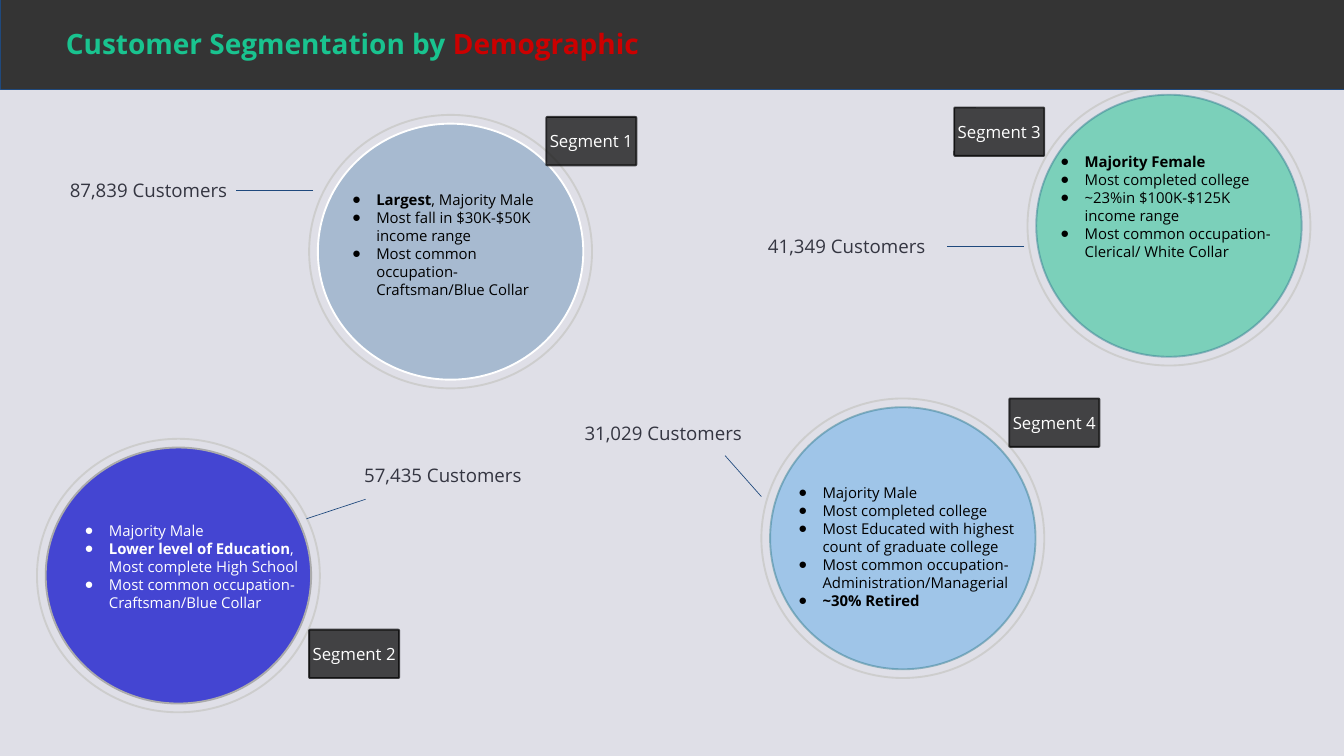
from dataclasses import dataclass

from lxml import etree
from pptx import Presentation
from pptx.dml.color import RGBColor
from pptx.enum.shapes import MSO_CONNECTOR, MSO_SHAPE
from pptx.enum.text import MSO_ANCHOR, MSO_AUTO_SIZE, PP_ALIGN
from pptx.oxml.ns import qn
from pptx.util import Inches, Pt

OVAL, ROUNDED, RECTANGLE = MSO_SHAPE.OVAL, MSO_SHAPE.ROUNDED_RECTANGLE, MSO_SHAPE.RECTANGLE
STRAIGHT = MSO_CONNECTOR.STRAIGHT
TOP, MIDDLE = MSO_ANCHOR.TOP, MSO_ANCHOR.MIDDLE
LEFT, CENTER = PP_ALIGN.LEFT, PP_ALIGN.CENTER
FIT_SHAPE = MSO_AUTO_SIZE.SHAPE_TO_FIT_TEXT


@dataclass(frozen=True)
class Theme:
    font: str = "Open Sans"
    background: str = "DFDFE7"
    header: str = "343434"
    accent: str = "19C38F"
    alert: str = "CC0000"
    ring: str = "CDCDCD"
    rule: str = "1F497D"
    count: str = "343541"
    dark: str = "000000"
    light: str = "FFFFFF"
    title_size: int = 30
    count_size: int = 20
    tag_size: int = 18
    list_size: int = 16
    thick: float = 2
    thin: float = 0.75


THEME = Theme()

# The slide is a grid of 20 columns by 11.25 rows; every place is (column, row).
COLUMNS, ROWS = 20, 11.25
CELL = Inches(1)
RING_WIDTH, RING_GAP = 4.21, 0.13
TAG_SIZE = (1.34, 0.72)
COUNT_SIZE = (3.28, 0.54)

TITLE = [("Customer Segmentation by ", THEME.accent), ("Demographic", THEME.alert)]

# Colours are (RRGGBB, opacity in percent); a list item is its (text, bold) spans.
SEGMENTS = [
    dict(tag="Segment 1", tag_at=(8.13, 1.74), count="87,839 Customers", count_at=(0.94, 2.56),
         ring_at=(4.6, 1.71), ring_height=4.07, fill=("004E8E", 25), edge=("FFFFFF", 100),
         pointer=[(4.66, 2.83), (3.51, 2.83)], list_at=(5, 2.74, 3.25, 1.82), ink=THEME.dark,
         items=[[("Largest", True), (", Majority Male", False)],
                [("Most fall in $30K-$50K income range", False)],
                [("Most common occupation- Craftsman/Blue Collar", False)]]),
    dict(tag="Segment 2", tag_at=(4.6, 9.37), count="57,435 Customers", count_at=(5.32, 6.81),
         ring_at=(0.55, 6.53), ring_height=4.07, fill=("4445D2", 100), edge=("ABABAB", 100),
         pointer=[(5.44, 7.43), (4.56, 7.72)], list_at=(1.02, 7.66, 3.71, 1.55), ink=THEME.light,
         items=[[("Majority Male", False)],
                [("Lower level of Education", True), (", Most complete High School", False)],
                [("Most common occupation- Craftsman/Blue Collar", False)]]),
    dict(tag="Segment 3", tag_at=(14.2, 1.6), count="41,349 Customers", count_at=(11.33, 3.39),
         ring_at=(15.29, 1.28), ring_height=4.16, fill=("19C38F", 50), edge=("378092", 50),
         pointer=[(15.24, 3.66), (14.09, 3.66)], list_at=(15.54, 2.17, 3.61, 1.82), ink=THEME.dark,
         items=[[("Majority Female", True)],
                [("Most completed college", False)],
                [("~23%in $100K-$125K income range", False)],
                [("Most common occupation- Clerical/ White Collar", False)]]),
    dict(tag="Segment 4", tag_at=(15.02, 5.93), count="31,029 Customers", count_at=(8.6, 6.17),
         ring_at=(11.33, 5.93), ring_height=4.16, fill=("9FC5E8", 100), edge=("378092", 50),
         pointer=[(11.33, 7.39), (10.79, 6.78)], list_at=(11.64, 7.1, 3.61, 2.09), ink=THEME.dark,
         items=[[("Majority Male", False)],
                [("Most completed college", False)],
                [("Most Educated with highest count of graduate college", False)],
                [("Most common occupation- Administration/Managerial", False)],
                [("~30% Retired", True)]]),
]


def on_grid(*cells):
    return [int(cell * CELL) for cell in cells]


def paint(fill, colour, opacity=100):
    fill.solid()
    fill.fore_color.rgb = RGBColor.from_string(colour)
    if opacity < 100:
        element = fill._xPr.find(qn("a:solidFill"))[0]
        etree.SubElement(element, qn("a:alpha"), val=str(opacity * 1000))


def add_figure(page, kind, place, fill, edge, weight=THEME.thick):
    figure = page.shapes.add_shape(kind, *on_grid(*place))
    figure.shadow.inherit = False
    if fill:
        paint(figure.fill, *fill)
    else:
        figure.fill.background()
    paint(figure.line.fill, *edge)
    figure.line.width = Pt(weight)
    return figure


def set_frame(box, inset=0.1, anchor=TOP):
    frame = box.text_frame
    frame.word_wrap = True
    frame.vertical_anchor = anchor
    frame.margin_left = frame.margin_right = Inches(inset)
    frame.margin_top = frame.margin_bottom = Inches(inset)
    return frame


def style(para, size, colour, bold=False, align=LEFT):
    para.alignment = align
    para.font.name = THEME.font
    para.font.size = Pt(size)
    para.font.bold = bold
    para.font.color.rgb = RGBColor.from_string(colour)


def add_bullet(para, colour):
    properties = para._p.get_or_add_pPr()
    properties.set("marL", str(Inches(0.5)))
    properties.set("indent", str(Inches(-0.36)))
    bullet_colour = etree.SubElement(properties, qn("a:buClr"))
    etree.SubElement(bullet_colour, qn("a:srgbClr"), val=colour)
    etree.SubElement(properties, qn("a:buChar"), char="●")


def place_on_top(page, box, place):
    """Move a placeholder to its place, in front of everything drawn so far."""
    box.left, box.top, box.width, box.height = on_grid(*place)
    page.shapes._spTree.append(box._element)
    frame = set_frame(box)
    frame.auto_size = FIT_SHAPE
    return frame


def add_circle(page, segment):
    left, top = segment["ring_at"]
    width, height = RING_WIDTH, segment["ring_height"]
    add_figure(page, OVAL, (left, top, width, height), None, (THEME.ring,))
    disc = (left + RING_GAP, top + RING_GAP, width - 2 * RING_GAP, height - 2 * RING_GAP)
    add_figure(page, OVAL, disc, segment["fill"], segment["edge"])


def add_tag(page, segment):
    place = (*segment["tag_at"], *TAG_SIZE)
    tag = add_figure(page, ROUNDED, place, (THEME.dark, 70), (THEME.dark, 70))
    tag.adjustments[0] = 0.02
    para = set_frame(tag, inset=0, anchor=MIDDLE).paragraphs[0]
    para.text = segment["tag"]
    style(para, THEME.tag_size, THEME.light, align=CENTER)


def fill_list(page, box, segment):
    frame = place_on_top(page, box, segment["list_at"])
    for index, item in enumerate(segment["items"]):
        para = frame.add_paragraph() if index else frame.paragraphs[0]
        para.space_before = Pt(0)
        add_bullet(para, segment["ink"])
        style(para, THEME.list_size, segment["ink"])
        for text, bold in item:
            span = para.add_run()
            span.text = text
            span.font.bold = bold


def add_count(page, segment):
    start, end = segment["pointer"]
    pointer = page.shapes.add_connector(STRAIGHT, *on_grid(*start, *end))
    paint(pointer.line.fill, THEME.rule)
    pointer.line.width = Pt(THEME.thin)
    etree.SubElement(pointer._element.spPr, qn("a:effectLst"))
    box = page.shapes.add_textbox(*on_grid(*segment["count_at"], *COUNT_SIZE))
    frame = set_frame(box)
    frame.auto_size = FIT_SHAPE
    frame.text = segment["count"]
    style(frame.paragraphs[0], THEME.count_size, THEME.count)


def add_header(page):
    add_figure(page, RECTANGLE, (0, -0.14, COLUMNS, 1.47), (THEME.header,), (THEME.rule,), THEME.thin)
    para = place_on_top(page, page.shapes.title, (0.88, 0.29, 10.46, 0.94)).paragraphs[0]
    style(para, THEME.title_size, THEME.accent, bold=True)
    for text, colour in TITLE:
        span = para.add_run()
        span.text = text
        span.font.color.rgb = RGBColor.from_string(colour)


def main():
    deck = Presentation()
    deck.slide_width, deck.slide_height = on_grid(COLUMNS, ROWS)
    page = deck.slides.add_slide(deck.slide_layouts.get_by_name("Comparison"))
    paint(page.background.fill, THEME.background)
    bodies = list(page.placeholders)[1:]
    for segment, body in zip(SEGMENTS, bodies):
        add_circle(page, segment)
        add_tag(page, segment)
        fill_list(page, body, segment)
        add_count(page, segment)
    add_header(page)
    deck.save("out.pptx")


if __name__ == "__main__":
    main()
